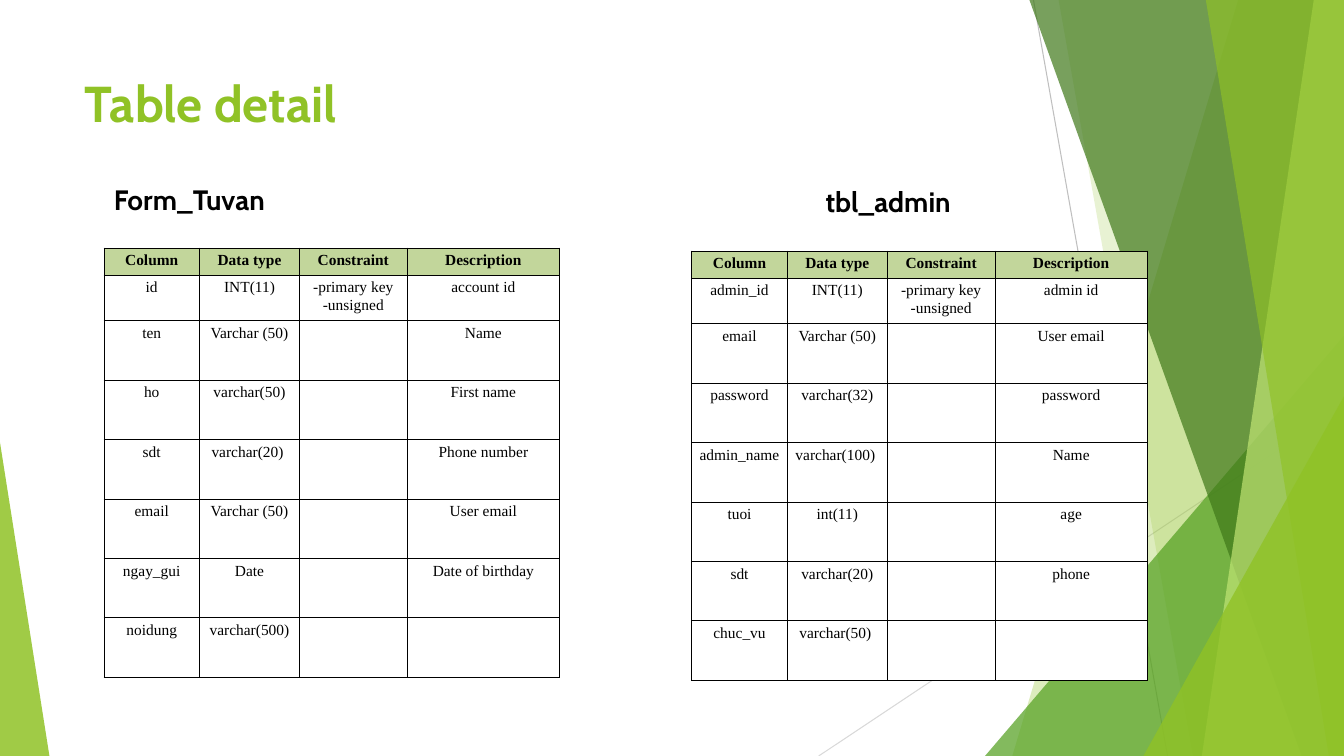
"""Build the "Table detail" slide: two database table descriptions on a faceted green backdrop."""
from lxml.etree import SubElement
from pptx import Presentation
from pptx.dml.color import RGBColor
from pptx.enum.shapes import MSO_CONNECTOR, MSO_SHAPE
from pptx.enum.text import MSO_ANCHOR, PP_ALIGN
from pptx.oxml.ns import qn
from pptx.util import Inches, Pt

WIDTH, HEIGHT = 13.33, 7.5
BLACK, WHITE = RGBColor(0, 0, 0), RGBColor(255, 255, 255)
HEADER_GREEN = RGBColor(0xC2, 0xD6, 0x9B)
LIME = RGBColor(0x90, 0xC2, 0x26)
LEAF = RGBColor(0x54, 0xA0, 0x21)
FOREST = RGBColor(0x3F, 0x78, 0x19)
PALE = RGBColor(0xC0, 0xE4, 0x74)
GREY, LIGHT_GREY = RGBColor(0xBF, 0xBF, 0xBF), RGBColor(0xD9, 0xD9, 0xD9)
HEADING_FONT, TABLE_FONT = "Cabin", "Times New Roman"

TITLE = "Table detail"
HEADER = ("Column", "Data type", "Constraint", "Description")
KEY = "-primary key\n-unsigned"
FORM_ROWS = [
    ("id", "INT(11)", KEY, "account id"),
    ("ten", "Varchar (50)", "", "Name"),
    ("ho", "varchar(50)", "", "First name"),
    ("sdt", "varchar(20) ", "", "Phone number"),
    ("email", "Varchar (50)", "", "User email"),
    ("ngay_gui", "Date", "", "Date of birthday"),
    ("noidung", "varchar(500)", "", ""),
]
ADMIN_ROWS = [
    ("admin_id", "INT(11)", KEY, "admin id"),
    ("email", "Varchar (50)", "", "User email"),
    ("password", "varchar(32)", "", "password"),
    ("admin_name", "varchar(100) ", "", "Name"),
    ("tuoi", "int(11)", "", "age"),
    ("sdt", "varchar(20)", "", "phone"),
    ("chuc_vu", "varchar(50) ", "", ""),
]
SECTIONS = [
    ("Form_Tuvan", (1.03, 1.51, 1.81, 0.94), (1.03, 2.46), FORM_ROWS),
    ("tbl_admin", (8.09, 1.78, 1.53, 0.44), (6.86, 2.49), ADMIN_ROWS),
]
COLUMN_WIDTHS = (0.95, 0.99, 1.07, 1.51)
ROW_HEIGHTS = (0.27, 0.45) + (0.59,) * 6

RULES = [((10.25, 0), (11.58, HEIGHT), GREY), ((WIDTH, 4.03), (8.12, HEIGHT), LIGHT_GREY)]
FACETS = [
    ("band", 12.28, 10.04, LIME, 30),
    ("band", 10.5, 11.83, LIME, 20),
    ("triangle", (9.77, 3.33, 3.56), 1, LEAF, 72),
    ("band", 10.21, 12.91, FOREST, 70),
    ("band", 13.03, 11.92, PALE, 70),
    ("band", 11.96, 13.18, LIME, 65),
    ("triangle", (11.34, 3.93, 1.99), 1, LIME, 80),
    ("triangle", (0, 4.39, 0.49), 0, LIME, 85),
]


def inches(*lengths):
    return [Inches(length) for length in lengths]


def set_font(para, name, size, color, bold):
    font = para.font
    font.name, font.size, font.bold = name, Pt(size), bold
    font.color.rgb = color


def add_rule(slide, start, end, color):
    rule = slide.shapes.add_connector(MSO_CONNECTOR.STRAIGHT, *inches(*start, *end))
    rule.line.color.rgb = color
    rule.line.width = Pt(0.75)
    SubElement(rule._element.spPr, qn("a:effectLst"))


def add_facet(slide, kind, place, end, color, opacity):
    if kind == "band":
        builder = slide.shapes.build_freeform(*inches(place, 0))
        corners = [(WIDTH, 0), (WIDTH, HEIGHT), (end, HEIGHT)]
        builder.add_line_segments([inches(*corner) for corner in corners], close=True)
        facet = builder.convert_to_shape()
    else:
        left, top, width = place
        facet = slide.shapes.add_shape(
            MSO_SHAPE.ISOSCELES_TRIANGLE, *inches(left, top, width, HEIGHT - top))
        facet.adjustments[0] = end
    facet.shadow.inherit = False
    facet.line.fill.background()
    facet.fill.solid()
    facet.fill.fore_color.rgb = color
    tint = facet._element.spPr.find(qn("a:solidFill"))[0]
    SubElement(tint, qn("a:alpha"), val=str(opacity * 1000))


def add_heading(slide, text, place):
    frame = slide.shapes.add_textbox(*inches(*place)).text_frame
    frame.word_wrap = False
    frame.vertical_anchor = MSO_ANCHOR.MIDDLE
    frame.text = text
    set_font(frame.paragraphs[0], HEADING_FONT, 20, BLACK, True)


def add_borders(cell):
    properties = cell._tc.get_or_add_tcPr()
    for side in ("lnL", "lnR", "lnT", "lnB"):
        border = SubElement(properties, qn(f"a:{side}"), w=str(Pt(0.5)))
        SubElement(SubElement(border, qn("a:solidFill")), qn("a:srgbClr"), val=str(BLACK))


def fill_cell(cell, text, is_header):
    add_borders(cell)
    cell.fill.solid()
    cell.fill.fore_color.rgb = HEADER_GREEN if is_header else WHITE
    cell.margin_left = cell.margin_right = Inches(0.06)
    cell.margin_top = cell.margin_bottom = Inches(0.04)
    cell.text = text
    for para in cell.text_frame.paragraphs:
        para.alignment = PP_ALIGN.CENTER
        set_font(para, TABLE_FONT, 11, BLACK, is_header)


def add_detail_table(slide, place, rows):
    size = sum(COLUMN_WIDTHS), sum(ROW_HEIGHTS)
    table = slide.shapes.add_table(
        len(ROW_HEIGHTS), len(COLUMN_WIDTHS), *inches(*place, *size)).table
    table.horz_banding = False
    for column, width in zip(table.columns, COLUMN_WIDTHS):
        column.width = Inches(width)
    for row, height, texts in zip(table.rows, ROW_HEIGHTS, [HEADER, *rows]):
        row.height = Inches(height)
        for cell, text in zip(row.cells, texts):
            fill_cell(cell, text, texts is HEADER)


def main():
    deck = Presentation()
    deck.slide_width, deck.slide_height = inches(WIDTH, HEIGHT)
    slide = deck.slides.add_slide(deck.slide_layouts[5])
    for rule in RULES:
        add_rule(slide, *rule)
    for facet in FACETS:
        add_facet(slide, *facet)

    title = slide.shapes.title
    title.left, title.top, title.width, title.height = inches(0.74, 0.67, 9.4, 1.44)
    title.text_frame.vertical_anchor = MSO_ANCHOR.TOP
    title.text_frame.text = TITLE
    title.text_frame.paragraphs[0].alignment = PP_ALIGN.LEFT
    set_font(title.text_frame.paragraphs[0], HEADING_FONT, 36, LIME, True)

    for heading, heading_place, table_place, rows in SECTIONS:
        add_heading(slide, heading, heading_place)
        add_detail_table(slide, table_place, rows)
    deck.save("out.pptx")


if __name__ == "__main__":
    main()
